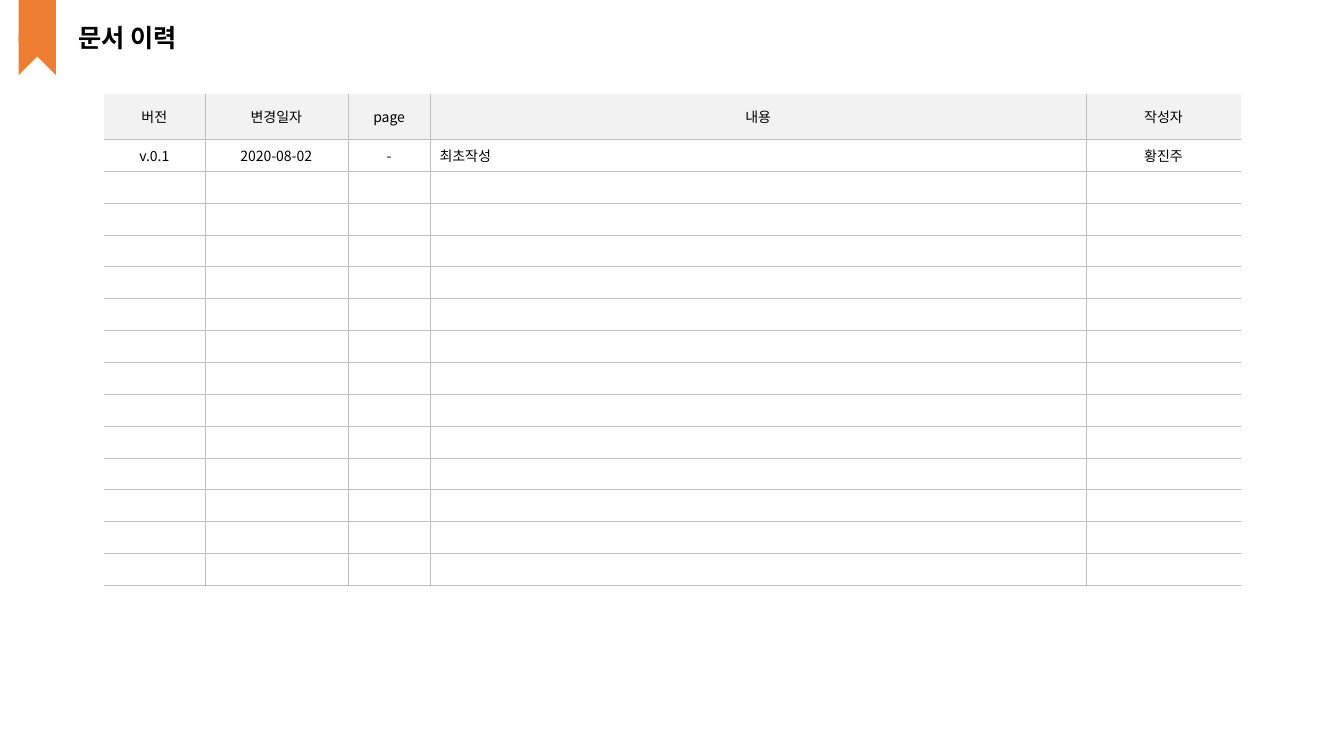
from dataclasses import dataclass

from lxml import etree
from pptx import Presentation
from pptx import util as u
from pptx.dml.color import RGBColor
from pptx.enum import shapes, text
from pptx.oxml import ns

FONT = "Noto Sans CJK KR"
BLACK = RGBColor(0x00, 0x00, 0x00)
ORANGE = RGBColor(0xED, 0x7D, 0x31)
HEADER_GRAY = RGBColor(0xF2, 0xF2, 0xF2)
BORDER_GRAY = RGBColor(0xBF, 0xBF, 0xBF)
NO_STYLE = "{2D5ABB26-0587-4C30-8999-92F81FD0307C}"

HEADER_HEIGHT = 0.45
ROW_HEIGHT = 0.3165
ENTRY_ROWS = 14


@dataclass(frozen=True)
class Column:
    heading: str
    entry: str
    width: float
    entry_alignment: text.PP_ALIGN = text.PP_ALIGN.CENTER


@dataclass(frozen=True)
class RibbonPart:
    kind: shapes.MSO_SHAPE
    left: float
    top: float
    width: float
    height: float
    rotation: float = 0


COLUMNS = [
    Column("버전", "v.0.1", 1.0),
    Column("변경일자", "2020-08-02", 1.42),
    Column("page", "-", 0.82),
    Column("내용", "최초작성", 6.5, text.PP_ALIGN.LEFT),
    Column("작성자", "황진주", 1.54),
]

RIBBON = [
    RibbonPart(shapes.MSO_SHAPE.CHEVRON, 0.08, 0.27, 0.58, 0.37, 270),
    RibbonPart(shapes.MSO_SHAPE.RECTANGLE, 0.185, 0, 0.37, 0.42),
]


def format_paragraph(paragraph, size: float, bold: bool = False) -> None:
    font = paragraph.font
    font.name = FONT
    font.size = u.Pt(size)
    font.bold = bold
    font.color.rgb = BLACK
    properties = paragraph._p.pPr.find(ns.qn("a:defRPr"))
    east_asian = etree.SubElement(properties, ns.qn("a:ea"))
    east_asian.set("typeface", FONT)
    for run in paragraph.runs:
        run_properties = run._r.get_or_add_rPr()
        etree.SubElement(run_properties, ns.qn("a:ea")).set("typeface", FONT)
    if not paragraph.runs:
        end = etree.SubElement(paragraph._p, ns.qn("a:endParaRPr"))
        end.set("sz", str(int(size * 100)))


def add_border(cell, side: str) -> None:
    line = etree.Element(ns.qn(f"a:ln{side}"), w=str(u.Pt(0.25)))
    fill = etree.SubElement(line, ns.qn("a:solidFill"))
    etree.SubElement(fill, ns.qn("a:srgbClr"), val=str(BORDER_GRAY))
    properties = cell._tc.get_or_add_tcPr()
    position = len(properties.findall(ns.qn("a:lnL")) + properties.findall(ns.qn("a:lnR"))
                   + properties.findall(ns.qn("a:lnT")))
    properties.insert(position, line)


def add_ribbon_part(slide, part: RibbonPart) -> None:
    shape = slide.shapes.add_shape(
        part.kind, u.Inches(part.left), u.Inches(part.top),
        u.Inches(part.width), u.Inches(part.height))
    shape.rotation = part.rotation
    shape.shadow.inherit = False
    shape.fill.solid()
    shape.fill.fore_color.rgb = ORANGE
    shape.line.fill.background()


def format_title(slide) -> None:
    title = slide.shapes.title
    title.left, title.top = u.Inches(0.68), u.Inches(0.17)
    title.width, title.height = u.Inches(1.81), u.Inches(0.4)
    frame = title.text_frame
    frame.text = "문서 이력"
    frame.word_wrap = True
    frame.auto_size = text.MSO_AUTO_SIZE.NONE
    frame.vertical_anchor = text.MSO_ANCHOR.MIDDLE
    paragraph = frame.paragraphs[0]
    paragraph.alignment = text.PP_ALIGN.LEFT
    format_paragraph(paragraph, 18, bold=True)


def add_history_table(slide) -> None:
    row_count = ENTRY_ROWS + 1
    frame = slide.shapes.add_table(
        row_count, len(COLUMNS), u.Inches(1.03), u.Inches(0.93),
        u.Inches(sum(column.width for column in COLUMNS)),
        u.Inches(HEADER_HEIGHT + ENTRY_ROWS * ROW_HEIGHT))
    table = frame.table
    table.first_row = table.horz_banding = False
    table._tbl.tblPr.find(ns.qn("a:tableStyleId")).text = NO_STYLE

    for row_index, row in enumerate(table.rows):
        is_header = row_index == 0
        row.height = u.Inches(HEADER_HEIGHT if is_header else ROW_HEIGHT)
        for column_index, column in enumerate(COLUMNS):
            cell = table.cell(row_index, column_index)
            cell.vertical_anchor = text.MSO_ANCHOR.MIDDLE
            cell.margin_left = cell.margin_right = u.Inches(0.09)
            cell.margin_top = cell.margin_bottom = u.Inches(0.04)
            paragraph = cell.text_frame.paragraphs[0]
            paragraph.alignment = text.PP_ALIGN.CENTER
            if is_header:
                paragraph.text = column.heading
                cell.fill.solid()
                cell.fill.fore_color.rgb = HEADER_GRAY
            else:
                cell.fill.background()
                paragraph.alignment = column.entry_alignment
                if row_index == 1:
                    paragraph.text = column.entry
            format_paragraph(paragraph, 10)
            if column_index > 0:
                add_border(cell, "L")
            if column_index < len(COLUMNS) - 1:
                add_border(cell, "R")
            if not is_header:
                add_border(cell, "T")
            add_border(cell, "B")

    for table_column, column in zip(table.columns, COLUMNS):
        table_column.width = u.Inches(column.width)


def main() -> None:
    presentation = Presentation()
    presentation.slide_width = u.Inches(13.33)
    presentation.slide_height = u.Inches(7.5)
    slide = presentation.slides.add_slide(presentation.slide_layouts[5])
    add_history_table(slide)
    for part in RIBBON:
        add_ribbon_part(slide, part)
    format_title(slide)
    presentation.save("out.pptx")


if __name__ == "__main__":
    main()
